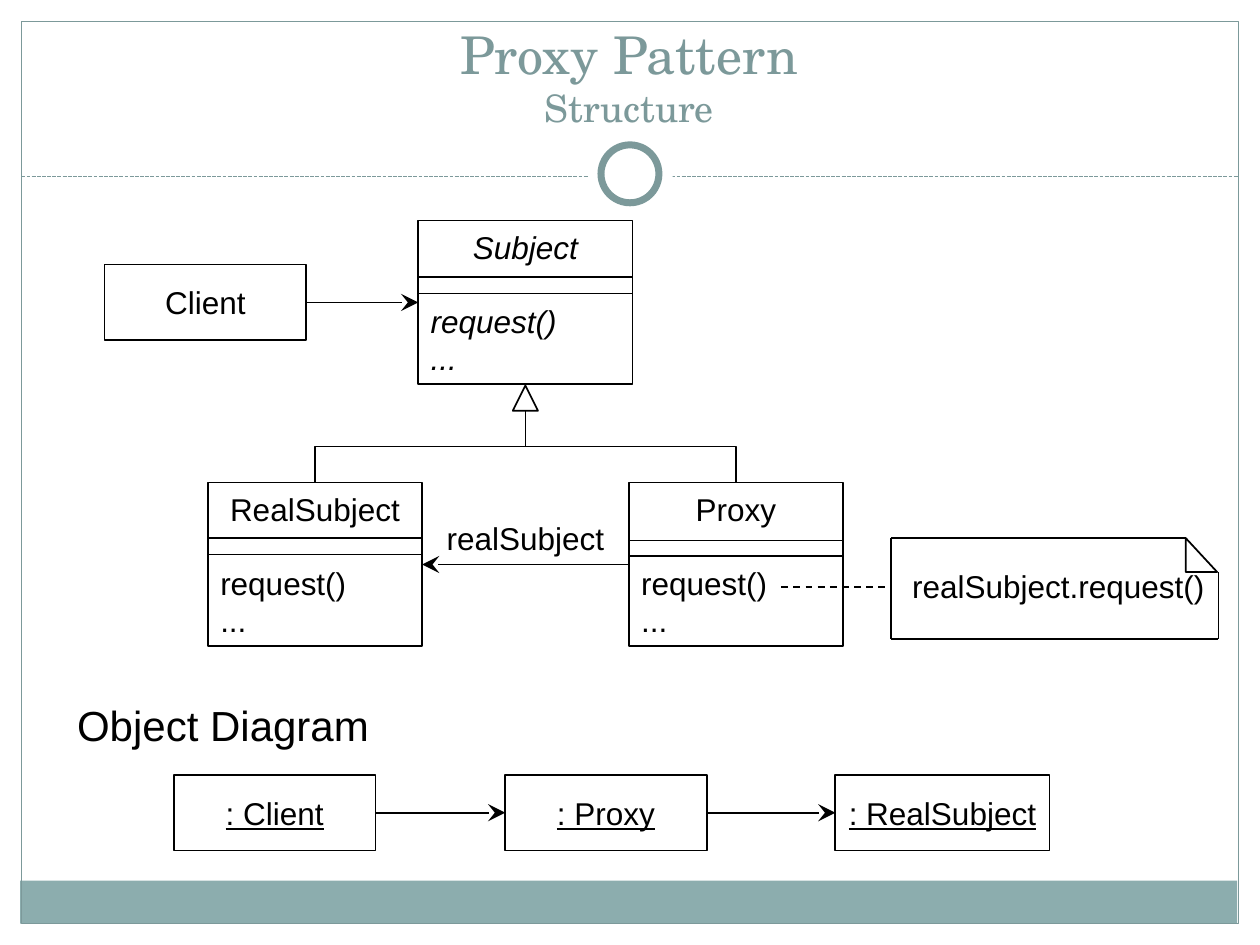
import pptx
import pptx.util
import pptx.dml.color
import pptx.enum.dml
import pptx.enum.shapes
import pptx.enum.text
import pptx.oxml.ns
import lxml.etree

Inches, Pt = pptx.util.Inches, pptx.util.Pt
Kind = pptx.enum.shapes.MSO_SHAPE
Link = pptx.enum.shapes.MSO_CONNECTOR
Dash = pptx.enum.dml.MSO_LINE
Align = pptx.enum.text.PP_ALIGN
Anchor = pptx.enum.text.MSO_ANCHOR
qn = pptx.oxml.ns.qn

COLORS = {"ink": "000000", "teal": "7C999A", "band": "8CADAE", "white": "FFFFFF"}
TITLE = [("Proxy Pattern", 29.7), ("Structure", 21.6)]
SERIF, SANS = "TeX Gyre Schola", "Arial"
METHODS = ["request()", "..."]
CLASSES = [
    ("Subject", 3.32, 1.75, (2.2, 2.33), True),
    ("RealSubject", 1.65, 3.83, (4.27, 4.4), False),
    ("Proxy", 4.99, 3.83, (4.29, 4.41), False),
]
BOXES = [
    ("Client", 0.83, 2.1, 1.6, False),
    (": Client", 1.38, 6.15, 1.6, True),
    (": Proxy", 4.01, 6.15, 1.6, True),
    (": RealSubject", 6.63, 6.15, 1.7, True),
]
LABELS = [
    ("realSubject.request()", (7.14, 4.25, 2.65, 0.8), 18, Align.LEFT),
    ("realSubject", (3.44, 4.07, 1.46, 0.4), 18, Align.CENTER),
    ("Object Diagram", (0.5, 5.5, 2.54, 0.5), 24, Align.CENTER),
]
ARROWS = [
    (2.43, 2.4, 3.32, 2.4),
    (4.99, 4.48, 3.35, 4.48),
    (2.98, 6.45, 4.01, 6.45),
    (5.61, 6.45, 6.63, 6.45),
]
NOTE = [(7.07, 4.27, 7.07, 5.07), (7.07, 5.07, 9.67, 5.07),
        (7.07, 4.27, 9.41, 4.27), (9.67, 4.54, 9.67, 5.07)]
CLASS_W, CLASS_H, BOX_H = 1.7, 1.3, 0.6
FORK_X, FORK_TOP, FORK_END = 4.17, 3.26, 3.83

deck = pptx.Presentation()
deck.slide_width, deck.slide_height = Inches(10), Inches(7.5)
slide = deck.slides.add_slide(deck.slide_layouts[6])
shapes = slide.shapes


def rgb(name):
    return pptx.dml.color.RGBColor.from_string(COLORS[name])


def draw(kind, area, fill=None, line="ink", width=1):
    shape = shapes.add_shape(kind, *map(Inches, area))
    shape.shadow.inherit = False
    if fill:
        shape.fill.solid()
        shape.fill.fore_color.rgb = rgb(fill)
    else:
        shape.fill.background()
    if line:
        shape.line.color.rgb = rgb(line)
        shape.line.width = Pt(width)
    else:
        shape.line.fill.background()
    return shape


def join(ends, kind=Link.STRAIGHT, color="ink", width=1, dash=None, arrow=False):
    link = shapes.add_connector(kind, *map(Inches, ends))
    link.line.color.rgb = rgb(color)
    link.line.width = Pt(width)
    if dash:
        link.line.dash_style = dash
    props = link._element.spPr
    if arrow:
        lxml.etree.SubElement(props.find(qn("a:ln")), qn("a:tailEnd"),
                              type="stealth", w="lg", len="lg")
    lxml.etree.SubElement(props, qn("a:effectLst"))
    return link


def style(para, size=None, align=Align.CENTER, face=SANS, color="ink"):
    para.alignment = align
    para.font.name = face
    para.font.color.rgb = rgb(color)
    if size:
        para.font.size = Pt(size)
    return para


def write(shape, text, size=18, align=Align.CENTER, under=False):
    frame = shape.text_frame
    frame.word_wrap = False
    frame.vertical_anchor = Anchor.MIDDLE
    frame.text = text
    para = style(frame.paragraphs[0], size, align)
    if under:
        para.font.underline = True


draw(Kind.RECTANGLE, (0.16, 6.99, 9.66, 0.34), "band", None)
draw(Kind.RECTANGLE, (0.17, 0.17, 9.66, 7.16), None, "teal", 0.75)
join((0.17, 1.4, 9.83, 1.4), color="teal", width=0.75, dash=Dash.SQUARE_DOT)
draw(Kind.OVAL, (4.67, 1.05, 0.67, 0.67), "white", None)
draw(Kind.OVAL, (4.77, 1.15, 0.46, 0.46), "white", "teal", 4)

head = shapes.add_textbox(*map(Inches, (0.33, 0.25, 9.33, 0.83))).text_frame
head.word_wrap = True
head.vertical_anchor = Anchor.BOTTOM
para = style(head.paragraphs[0], face=SERIF, color="teal")
for index, (text, size) in enumerate(TITLE):
    if index:
        para.add_line_break()
    run = para.add_run()
    run.text = text
    run.font.size = Pt(size)

for name, left, top, rules, slant in CLASSES:
    frame = draw(Kind.RECTANGLE, (left, top, CLASS_W, CLASS_H)).text_frame
    frame.word_wrap = True
    frame.vertical_anchor = Anchor.MIDDLE
    frame.text = "\n".join([name] + METHODS)
    for index, para in enumerate(frame.paragraphs):
        style(para, 18, Align.LEFT if index else Align.CENTER)
        para.font.italic = slant
    frame.paragraphs[0].space_after = Pt(20.7)
    for y in rules:
        join((left, y, left + CLASS_W, y))

for text, left, top, width, under in BOXES:
    write(draw(Kind.RECTANGLE, (left, top, width, BOX_H)), text, under=under)

draw(Kind.ISOSCELES_TRIANGLE, (4.07, 3.06, 0.2, 0.2))
draw(Kind.RIGHT_TRIANGLE, (9.41, 4.27, 0.25, 0.27))
for ends in NOTE:
    join(ends)
join((6.2, 4.66, 7.07, 4.66), dash=Dash.DASH)
for ends in ARROWS:
    join(ends, arrow=True)

drop, reach = FORK_END - FORK_TOP, 1.67
mid_y = (FORK_TOP + FORK_END) / 2
for side, turn in ((-1, 90), (1, 270)):
    mid_x = FORK_X + side * reach / 2
    bend = join((mid_x + side * drop / 2, mid_y - reach / 2,
                 mid_x - side * drop / 2, mid_y + reach / 2), Link.ELBOW)
    bend._element.spPr.find(qn("a:xfrm")).set("rot", str(turn * 60000))

for text, area, size, align in LABELS:
    write(shapes.add_textbox(*map(Inches, area)), text, size, align)

deck.save("out.pptx")
